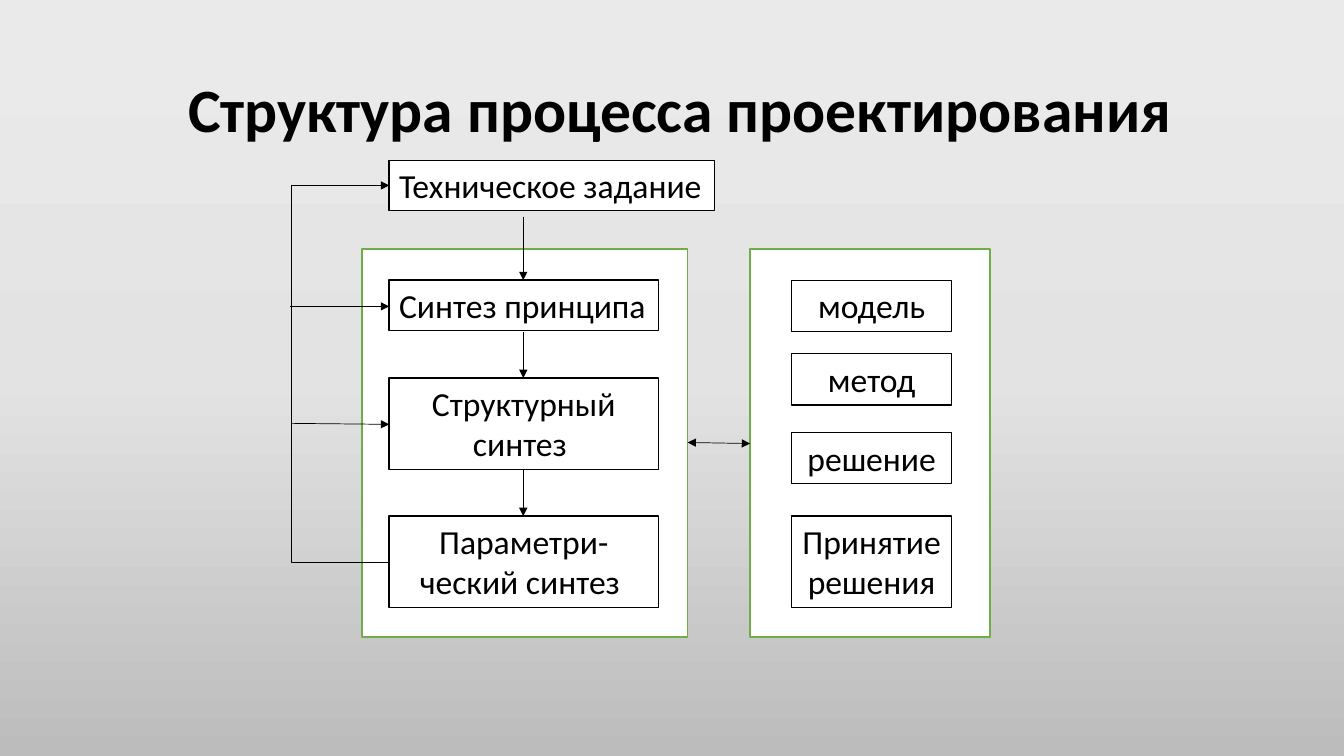
from copy import deepcopy
from dataclasses import dataclass

from lxml import etree
from pptx import Presentation
from pptx.dml.color import RGBColor
from pptx.enum.shapes import MSO_CONNECTOR, MSO_SHAPE
from pptx.enum.text import MSO_ANCHOR, MSO_AUTO_SIZE, PP_ALIGN
from pptx.oxml.ns import qn
from pptx.util import Pt

EMU_PER_PX = 9144  # 100 px to the inch
BLANK_LAYOUT = 6
RECTANGLE = MSO_SHAPE.RECTANGLE
STRAIGHT, ELBOW = MSO_CONNECTOR.STRAIGHT, MSO_CONNECTOR.ELBOW
LEFT, CENTER = PP_ALIGN.LEFT, PP_ALIGN.CENTER
TOP, MIDDLE = MSO_ANCHOR.TOP, MSO_ANCHOR.MIDDLE
GROW, FIXED = MSO_AUTO_SIZE.SHAPE_TO_FIT_TEXT, MSO_AUTO_SIZE.NONE


@dataclass(frozen=True)
class Theme:
    font: str = "Calibri"
    ink: str = "000000"
    paper: str = "FFFFFF"
    frame: str = "70AD47"
    backdrop: tuple = ((0.04, "EBEAEA"), (0.5, "E4E3E3"), (1, "BDBCBC"))
    title_size: int = 44
    body_size: int = 24
    outline: float = 1
    arrow: float = 0.5


def px(length):
    return length * EMU_PER_PX


def color(code):
    return RGBColor.from_string(code)


class Diagram:
    def __init__(self, page, theme):
        self.page, self.theme = page, theme

    def background(self):
        fill = self.page.background.fill
        fill.gradient()
        fill.gradient_angle = 270
        stops = self.page.element.find(".//" + qn("a:gsLst"))
        stops.insert(1, deepcopy(stops[0]))
        for stop, (position, code) in zip(fill.gradient_stops, self.theme.backdrop):
            stop.position = position
            stop.color.rgb = color(code)

    def put_text(self, shape, lines, size, align=CENTER, bold=False, spacing=1.0, **frame_format):
        frame = shape.text_frame
        for name, value in frame_format.items():
            setattr(frame, name, value)
        for index, line in enumerate(lines):
            para = frame.paragraphs[0] if index == 0 else frame.add_paragraph()
            para.alignment, para.line_spacing = align, spacing
            span = para.add_run()
            span.text = line
            span.font.color.rgb = color(self.theme.ink)
            values = {"name": self.theme.font, "size": Pt(size), "bold": bold}
            for name, value in values.items():
                setattr(span.font, name, value)

    def title(self, text, *bounds):
        box = self.page.shapes.add_textbox(*map(px, bounds))
        self.put_text(box, [text], self.theme.title_size, bold=True, spacing=0.9,
                      word_wrap=True, vertical_anchor=MIDDLE, auto_size=FIXED)

    def rectangle(self, bounds, line_color):
        box = self.page.shapes.add_shape(RECTANGLE, *map(px, bounds))
        box.shadow.inherit = False
        box.fill.solid()
        box.fill.fore_color.rgb = color(self.theme.paper)
        box.line.color.rgb = color(line_color)
        box.line.width = Pt(self.theme.outline)
        return box

    def panel(self, *bounds):
        self.rectangle(bounds, self.theme.frame)

    def block(self, lines, *bounds, wrap=True):
        box = self.rectangle(bounds, self.theme.ink)
        self.put_text(box, lines, self.theme.body_size, align=CENTER if wrap else LEFT,
                      word_wrap=wrap, vertical_anchor=TOP, auto_size=GROW)

    def arrow(self, *points, kind=STRAIGHT, both=False):
        link = self.page.shapes.add_connector(kind, *map(px, points))
        link.line.color.rgb = color(self.theme.ink)
        link.line.width = Pt(self.theme.arrow)
        properties = link.element.spPr
        outline = properties.find(qn("a:ln"))
        for end in ("a:headEnd", "a:tailEnd") if both else ("a:tailEnd",):
            etree.SubElement(outline, qn(end), type="triangle")
        etree.SubElement(properties, qn("a:effectLst"))
        return link

    def feedback(self, left, top, bottom, reach):
        """Elbow that leaves the bottom block, runs left and returns to the top one."""
        link = self.arrow(left, top, left + 1, bottom, kind=ELBOW)
        properties = link.element.spPr
        properties.find(qn("a:xfrm")).set("rot", str(180 * 60000))
        guides = properties.find(qn("a:prstGeom")).find(qn("a:avLst"))
        etree.SubElement(guides, qn("a:gd"), name="adj1", fmla=f"val {reach * 100000}")


def main():
    deck = Presentation()
    deck.slide_width, deck.slide_height = px(1333), px(750)
    page = deck.slides.add_slide(deck.slide_layouts[BLANK_LAYOUT])
    diagram = Diagram(page, Theme())
    diagram.background()

    # Panels and title
    panel_top, panel_height = 247, 385
    diagram.panel(744, panel_top, 238, panel_height)
    diagram.panel(359, panel_top, 323, panel_height)
    diagram.title("Структура процесса проектирования", 100, 39, 1150, 145)

    # Design stages
    stage_left, stage_width = 386, 267
    diagram.block(["Техническое задание"], stage_left, 159, 323, 50, wrap=False)
    stages = [
        (["Синтез принципа"], 278, 50, False),
        (["Структурный", "синтез "], 375, 91, True),
        (["Параметри-ческий синтез "], 512, 91, True),
    ]
    for lines, top, height, wrap in stages:
        diagram.block(lines, stage_left, top, stage_width, height, wrap=wrap)

    # Steps within each stage
    steps = [("модель", 278, 51), ("метод", 351, 51),
             ("решение", 429, 51), ("Принятие решения", 512, 91)]
    for text, top, height in steps:
        diagram.block([text], 785, top, 159, height)

    # Downward flow
    flow_x = 519
    for start, end in ((215, 278), (329, 375), (466, 512)):
        diagram.arrow(flow_x, start, flow_x, end)

    # Feedback to earlier stages and exchange between panels
    diagram.feedback(stage_left, 184, 558, reach=100)
    diagram.arrow(288, 304, stage_left, 304)
    diagram.arrow(289, 420, stage_left, 421)
    diagram.arrow(682, 439, 744, 440, both=True)

    deck.save("out.pptx")


if __name__ == "__main__":
    main()
